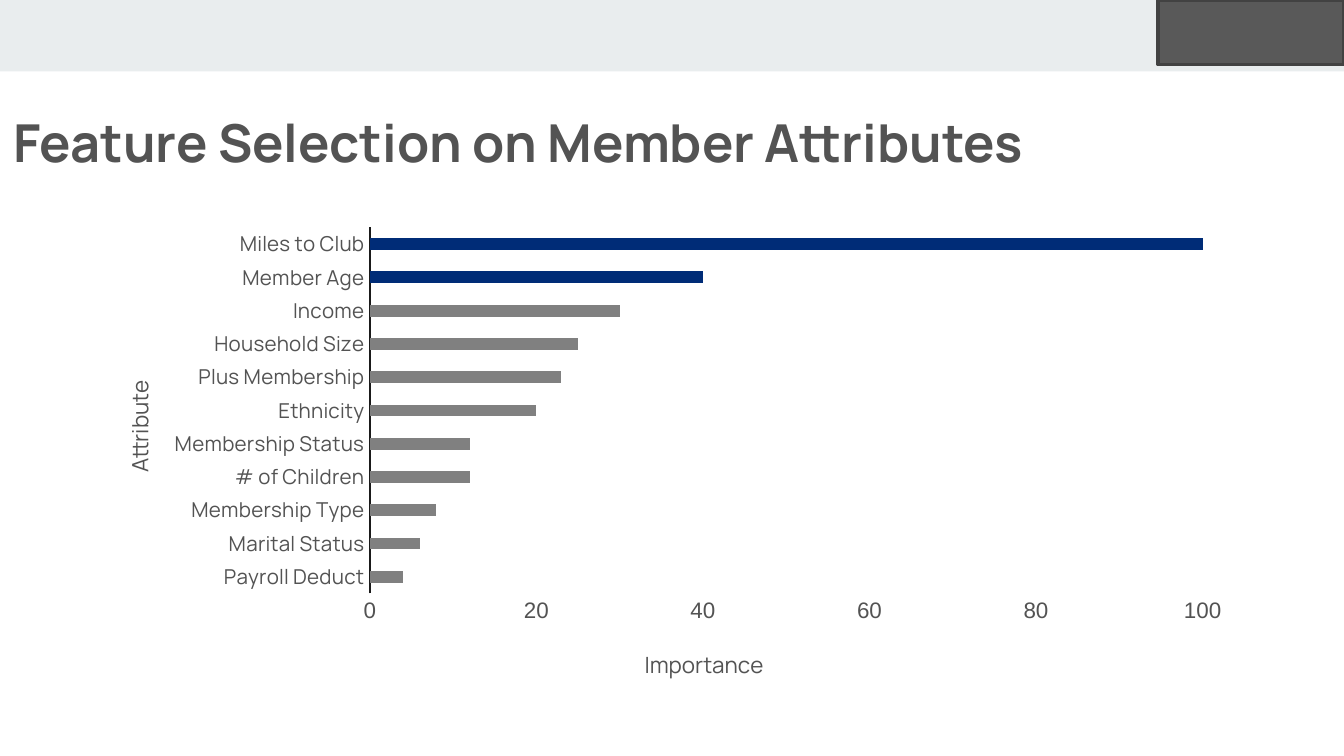
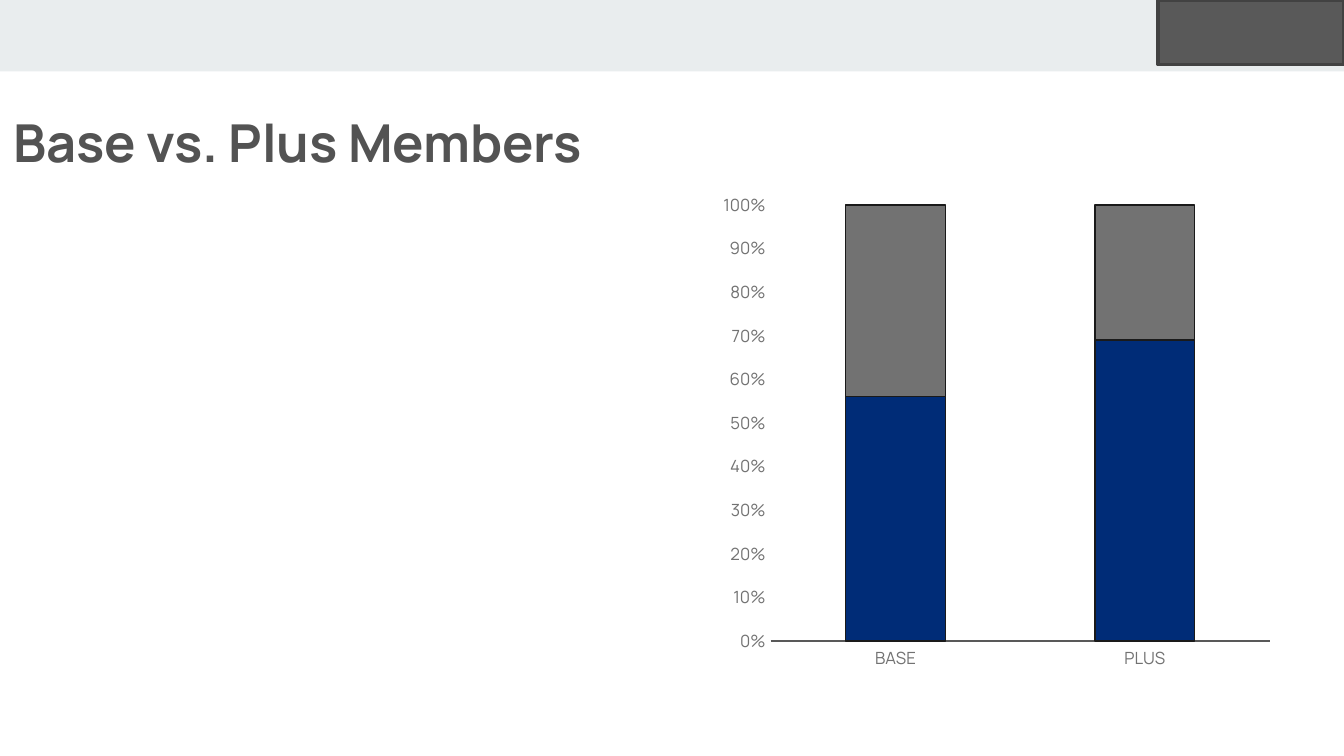
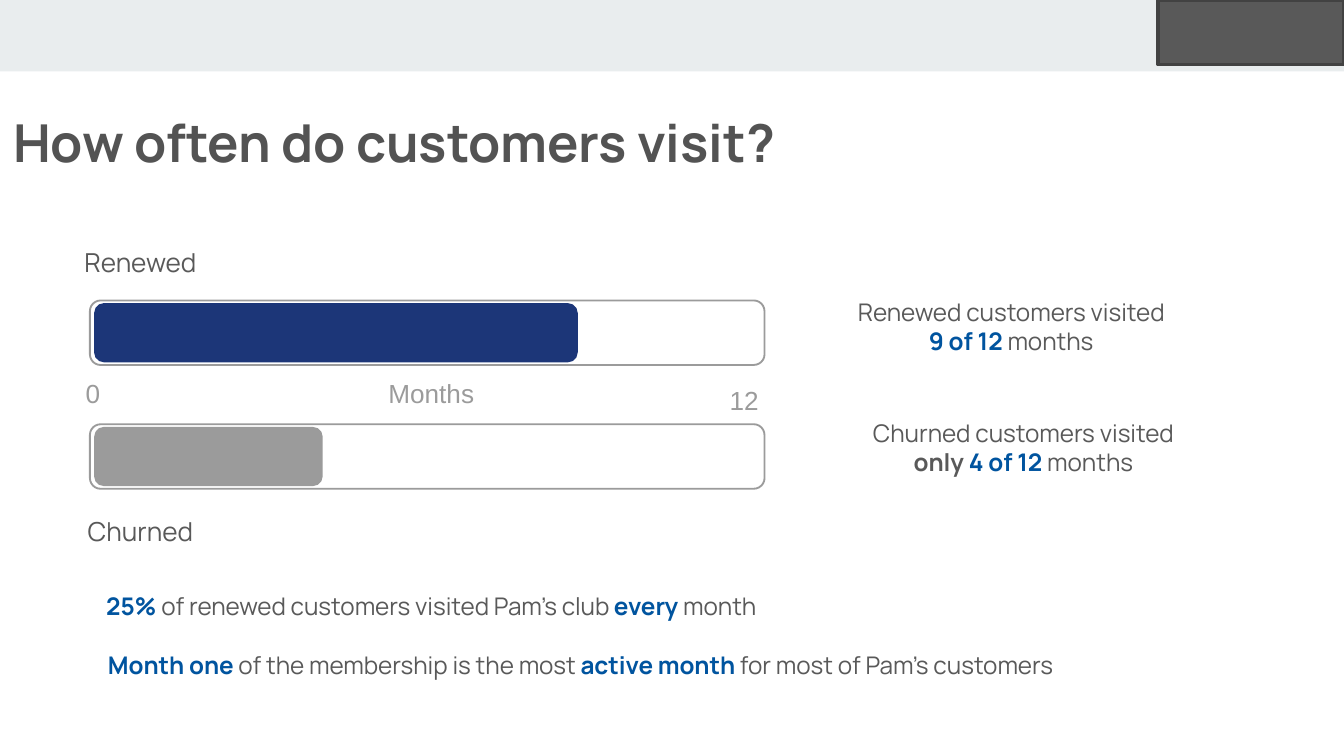
"""Build three slides about what drives club membership renewal."""
from lxml import etree
from pptx import Presentation
from pptx import util as u
from pptx.chart.data import CategoryChartData
from pptx.dml.color import RGBColor
from pptx.enum import chart as charts, shapes, text
from pptx.oxml import ns

COLOURS = {
    "band": "E9EDEE", "block": "595959", "block_edge": "424242", "title": "535353",
    "navy": "002C77", "bar_grey": "808080", "stack_grey": "727272", "axis": "1A1A1A",
    "body": "595959", "accent": "00549F", "white": "FFFFFF",
    "visit_navy": "1C3678", "visit_grey": "9B9B9B",
}
BRAND_FONT, PLAIN_FONT = "Manrope", "Arial"
CENTER = text.PP_ALIGN.CENTER

TITLES = [
    ("Feature Selection on Member Attributes", 24.38),
    ("Base vs. Plus Members", 20.6),
    ("How often do customers visit?", 21.36),
]
IMPORTANCE = {
    "Payroll Deduct": 4, "Marital Status": 6, "Membership Type": 8, "# of Children": 12,
    "Membership Status": 12, "Ethnicity": 20, "Plus Membership": 23, "Household Size": 25,
    "Income": 30, "Member Age": 40, "Miles to Club": 100,
}
TOP_ATTRIBUTES = ("Member Age", "Miles to Club")
MEMBER_TYPES = ["BASE", "PLUS"]
MEMBER_SHARES = [("Series 1", [56, 69], "navy"), ("Series 2", [44, 31], "stack_grey")]

VISIT_BARS = [(5.68, 9.14, "visit_navy"), (8.02, 4.32, "visit_grey")]
SCALE_LABELS = [("12", 13.54, 7.14, 1.12), ("0", 1.37, 7.01, 1.12), ("Months", 7.09, 7.01, 3.05)]
GROUP_LABELS = [("Renewed", 4.52), ("Churned", 9.6)]
FINDINGS = [
    ((0.15, 11.05, 16, 0.82), [("25% ", "accent", True),
                               ("of renewed customers visited Pam's club ", "body", False),
                               ("every ", "accent", True), ("month", "body", False)]),
    ((15.95, 5.49, 6.32, 1.37), [("Renewed customers visited ", "body", False),
                                 ("9 of 12 ", "accent", True), ("months", "body", False)]),
    ((15.95, 7.77, 6.78, 1.37), [("Churned customers visited ", "body", False),
                                 ("only ", "body", True), ("4 of 12 ", "accent", True),
                                 ("months", "body", False)]),
    ((-0.79, 12.17, 23.52, 0.82), [("Month one ", "accent", True),
                                   ("of the membership is the most ", "body", False),
                                   ("active month ", "accent", True),
                                   ("for most of Pam’s customers", "body", False)]),
]


def rgb(name):
    return RGBColor.from_string(COLOURS[name])


def style_font(font, size, colour, name=BRAND_FONT, bold=False):
    font.size, font.name, font.bold = u.Pt(size), name, bold
    font.color.rgb = rgb(colour)


def style_line(line, colour=None, width=0.75):
    if colour is None:
        line.fill.background()
    else:
        line.color.rgb, line.width = rgb(colour), u.Pt(width)


def fill_with(target, colour):
    target.fill.solid()
    target.fill.fore_color.rgb = rgb(colour)


def add_box(slide, box, fill, edge=None, width=1, kind=shapes.MSO_SHAPE.RECTANGLE):
    shape = slide.shapes.add_shape(kind, *map(u.Cm, box))
    shape.shadow.inherit = False
    fill_with(shape, fill)
    style_line(shape.line, edge, width)


def add_text(slide, box, runs, size=13, font=BRAND_FONT, align=None, grow=False,
             anchor=text.MSO_ANCHOR.TOP, insets=(0.25, 0.13)):
    frame = slide.shapes.add_textbox(*map(u.Cm, box)).text_frame
    frame.word_wrap, frame.vertical_anchor = True, anchor
    frame.auto_size = text.MSO_AUTO_SIZE.SHAPE_TO_FIT_TEXT if grow else text.MSO_AUTO_SIZE.NONE
    frame.margin_left = frame.margin_right = u.Cm(insets[0])
    frame.margin_top = frame.margin_bottom = u.Cm(insets[1])
    paragraph = frame.paragraphs[0]
    paragraph.alignment = align
    for words, colour, bold in runs:
        run = paragraph.add_run()
        run.text = words
        style_font(run.font, size, colour, font, bold)


def set_layout(parent, index, inner=False, **fractions):
    for old in parent.findall(ns.qn("c:layout")):
        parent.remove(old)
    layout = etree.Element(ns.qn("c:layout"))
    manual = etree.SubElement(layout, ns.qn("c:manualLayout"))
    settings = {"layoutTarget": "inner"} if inner else {}
    settings.update(xMode="edge", yMode="edge", **fractions)
    for tag, value in settings.items():
        etree.SubElement(manual, ns.qn("c:" + tag)).set("val", str(value))
    parent.insert(index, layout)


def add_chart(slide, kind, box, categories, series, gap, plot_area):
    data = CategoryChartData()
    data.categories = categories
    for name, values, _ in series:
        data.add_series(name, values)
    chart = slide.shapes.add_chart(kind, *map(u.Cm, box), data).chart
    chart.has_legend = chart.has_title = False
    chart.font.size, chart.font.name = u.Pt(10), PLAIN_FONT
    plot = chart.plots[0]
    plot.gap_width, plot.vary_by_categories = gap, False
    for drawn, (_, _, colour) in zip(plot.series, series):
        fill_with(drawn.format, colour)
    for axis in (chart.category_axis, chart.value_axis):
        axis.has_major_gridlines = False
        axis.major_tick_mark = axis.minor_tick_mark = charts.XL_TICK_MARK.NONE
    style_line(chart.value_axis.format.line)
    set_layout(chart._chartSpace.chart.plotArea, 0, inner=True, **plot_area)
    return chart


def add_axis_title(axis, words, x, y, rotation=0):
    frame = axis.axis_title.text_frame
    frame.text = words
    style_font(frame.paragraphs[0].runs[0].font, 12, "title")
    frame._txBody.bodyPr.set("rot", str(rotation))
    frame._txBody.bodyPr.set("vert", "horz")
    set_layout(axis.axis_title._element, 1, x=x, y=y)


def add_importance(slide):
    chart = add_chart(slide, charts.XL_CHART_TYPE.BAR_CLUSTERED, (1.57, 4.11, 21.95, 9.09),
                      list(IMPORTANCE), [("Series 1", list(IMPORTANCE.values()), "bar_grey")],
                      182, dict(x=0.247, y=0.021, w=0.717, h=0.761))
    points = chart.plots[0].series[0].points
    for index, attribute in enumerate(IMPORTANCE):
        if attribute in TOP_ATTRIBUTES:
            fill_with(points[index].format, "navy")
    categories, values = chart.category_axis, chart.value_axis
    values.minimum_scale, values.maximum_scale, values.major_unit = 0, 100, 20
    style_line(categories.format.line, "axis")
    style_font(categories.tick_labels.font, 11, "title")
    style_font(values.tick_labels.font, 12, "title", PLAIN_FONT)
    add_axis_title(categories, "Attribute", 0.03, 0.33, -5400000)
    add_axis_title(values, "Importance", 0.48, 0.885)


def add_member_shares(slide):
    chart = add_chart(slide, charts.XL_CHART_TYPE.COLUMN_STACKED_100, (13.46, 3.48, 10.74, 9.4),
                      MEMBER_TYPES, MEMBER_SHARES, 150,
                      dict(x=0.103, y=0.042, w=0.878, h=0.877))
    chart.plots[0].overlap = 100
    for series in chart.plots[0].series:
        style_line(series.format.line, "axis")
    style_line(chart.category_axis.format.line, "body")
    for axis in (chart.category_axis, chart.value_axis):
        style_font(axis.tick_labels.font, 9, "stack_grey")
    labels = chart.value_axis.tick_labels
    labels.number_format, labels.number_format_is_linked = "0%", False


def add_visits(slide):
    rounded = shapes.MSO_SHAPE.ROUNDED_RECTANGLE
    for top, width, colour in VISIT_BARS:
        add_box(slide, (1.7, top, 12.75, 1.22), "white", "visit_grey", kind=rounded)
        add_box(slide, (1.78, top + 0.05, width, 1.12), colour, kind=rounded)
    for words, left, top, width in SCALE_LABELS:
        add_text(slide, (left, top, width, 0.86), [(words, "visit_grey", False)],
                 size=14, font=PLAIN_FONT, grow=True)
    for words, top in GROUP_LABELS:
        add_text(slide, (1.37, top, 2.57, 0.74), [(words, "body", False)], size=14,
                 align=CENTER, anchor=text.MSO_ANCHOR.BOTTOM, insets=(0, 0))
    for box, runs in FINDINGS:
        add_text(slide, box, runs, align=CENTER, grow=True)


def main():
    presentation = Presentation()
    presentation.slide_width, presentation.slide_height = u.Cm(25.4), u.Cm(14.29)
    for (title, width), add_content in zip(TITLES, (add_importance, add_member_shares, add_visits)):
        slide = presentation.slides.add_slide(presentation.slide_layouts[6])
        add_box(slide, (0, 0, 25.4, 1.35), "band")
        add_text(slide, (0, 1.83, width, 1.5), [(title, "title", True)],
                 size=28, insets=(0.25, 0.25))
        add_content(slide)
        add_box(slide, (21.89, 0, 3.51, 1.22), "block", "block_edge", width=2)
    presentation.save("out.pptx")


if __name__ == "__main__":
    main()
